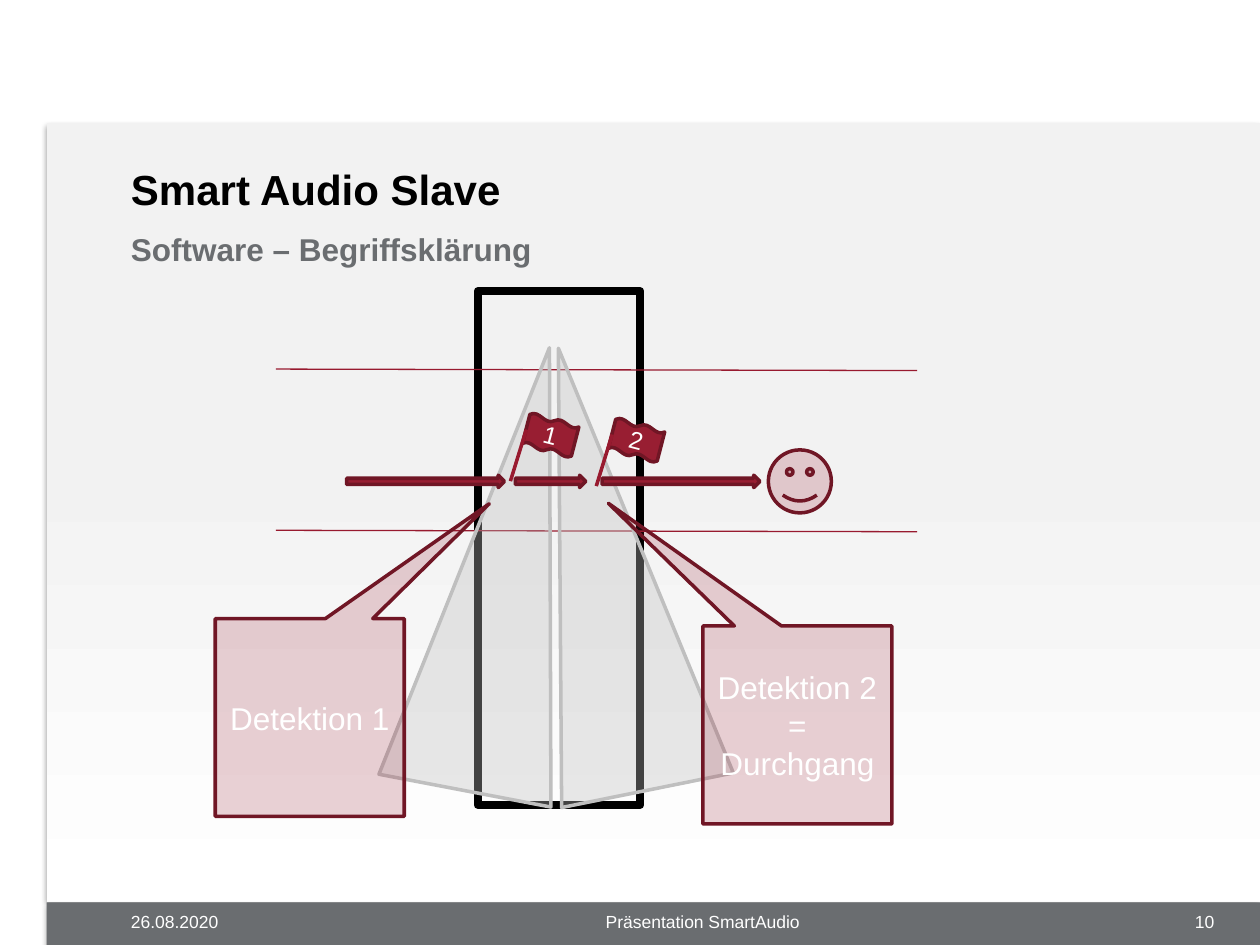
import pptx
import pptx.dml.color
import pptx.enum.dml
import pptx.enum.shapes
import pptx.enum.text
import pptx.oxml.ns
import pptx.util
from lxml import etree

Cm = pptx.util.Cm
Pt = pptx.util.Pt
SHAPE = pptx.enum.shapes.MSO_SHAPE
ALIGN = pptx.enum.text.PP_ALIGN
ANCHOR = pptx.enum.text.MSO_ANCHOR
qn = pptx.oxml.ns.qn

FONT = "Arial"
COLORS = {
    "black": "000000",
    "white": "FFFFFF",
    "panel": "F2F2F2",
    "slate": "6A6D70",
    "beam": "BFBFBF",
    "red": "981E32",
    "dark red": "701625",
    "line red": "981A2F",
}


def rgb(name):
    return pptx.dml.color.RGBColor.from_string(COLORS[name])


def write_text(shape, text, size, color, align=ALIGN.LEFT, bold=False, anchor=ANCHOR.TOP, side_inset=0.25):
    frame = shape.text_frame
    frame.text = text
    frame.word_wrap = True
    frame.auto_size = pptx.enum.text.MSO_AUTO_SIZE.NONE
    frame.vertical_anchor = anchor
    frame.margin_left = frame.margin_right = Cm(side_inset)
    frame.margin_top = frame.margin_bottom = Cm(0.13)
    paragraph = frame.paragraphs[0]
    paragraph.alignment = align
    for run in paragraph.runs:
        run.font.name = FONT
        run.font.size = Pt(size)
        run.font.bold = bold
        run.font.color.rgb = rgb(color)
    return paragraph


def add_text(slide, box, text, size, color, **options):
    shape = slide.shapes.add_textbox(*map(Cm, box))
    return write_text(shape, text, size, color, **options)


def add_shape(shapes, kind, box, fill=None, line=None, width=2, opacity=100, rotation=0):
    shape = shapes.add_shape(kind, *map(Cm, box))
    shape.shadow.inherit = False
    shape.rotation = rotation
    if fill:
        shape.fill.solid()
        shape.fill.fore_color.rgb = rgb(fill)
        if opacity < 100:
            color = shape.fill._xPr.find(".//" + qn("a:srgbClr"))
            etree.SubElement(color, qn("a:alpha"), val=str(opacity * 1000))
    else:
        shape.fill.background()
    if line:
        shape.line.color.rgb = rgb(line)
        shape.line.width = Pt(width)
    else:
        shape.line.fill.background()
    return shape


def add_line(shapes, start, end, width):
    line = shapes.add_connector(pptx.enum.shapes.MSO_CONNECTOR.STRAIGHT, *map(Cm, start + end))
    line.line.color.rgb = rgb("line red")
    line.line.width = Pt(width)
    etree.SubElement(line._element.spPr, qn("a:effectLst"))


def add_soft_shadow(shape):
    effects = shape._element.spPr.find(qn("a:effectLst"))
    shadow = etree.SubElement(effects, qn("a:outerShdw"), blurRad=str(Pt(3.1)),
                              dist=str(Pt(1.8)), dir="5400000", rotWithShape="0")
    color = etree.SubElement(shadow, qn("a:srgbClr"), val=COLORS["black"])
    etree.SubElement(color, qn("a:alpha"), val="35000")


def add_background(slide):
    panel = add_shape(slide.shapes, SHAPE.RECTANGLE, (0.94, 2.49, 24.46, 15.7))
    panel.fill.gradient()
    panel.fill.gradient_angle = 270
    for stop, position, color in zip(panel.fill.gradient_stops, (0.43, 1), ("panel", "white")):
        stop.position = position
        stop.color.rgb = rgb(color)
    bar = add_shape(slide.shapes, SHAPE.RECTANGLE, (0.94, 18.19, 24.46, 1.02), "slate")
    for shape in (panel, bar):
        add_soft_shadow(shape)


def add_footer(slide):
    for left, width, text, align, inset in (
        (2.64, 2.92, "26.08.2020", ALIGN.LEFT, 0),
        (6.2, 15.93, "Präsentation SmartAudio", ALIGN.CENTER, 0.25),
        (22.78, 1.7, "10", ALIGN.RIGHT, 0),
    ):
        add_text(slide, (left, 18.24, width, 0.53), text, 10, "white", align=align, side_inset=inset)


def add_headings(slide):
    add_text(slide, (2.64, 4.45, 21.84, 1.07), "Software – Begriffsklärung", 18, "slate",
             bold=True, anchor=ANCHOR.BOTTOM, side_inset=0).space_after = Pt(8)
    title = slide.shapes.title
    title.left, title.top, title.width, title.height = map(Cm, (2.64, 3.2, 21.84, 1.24))
    paragraph = write_text(title, "Smart Audio Slave", 24, "black", bold=True,
                           anchor=ANCHOR.BOTTOM, side_inset=0)
    paragraph.line_spacing = 0.8
    # Bring the title in front of the panel
    slide.shapes._spTree.append(title._element)


def add_callout(slide, left, top, text, tip):
    callout = add_shape(slide.shapes, SHAPE.RECTANGULAR_CALLOUT, (left, top, 3.81, 3.99),
                        "red", "dark red", opacity=20)
    callout.adjustments[0], callout.adjustments[1] = tip
    write_text(callout, text, 18, "white", align=ALIGN.CENTER, anchor=ANCHOR.MIDDLE)


def add_flag(slide, left, top, label):
    group = slide.shapes.add_group_shape()
    cloth = add_shape(group.shapes, SHAPE.DOUBLE_WAVE, (left, top, 1.02, 0.69),
                      "red", "dark red", rotation=14.5)
    write_text(cloth, label, 14, "white", align=ALIGN.CENTER, anchor=ANCHOR.MIDDLE)
    add_line(group.shapes, (left + 0.02, top + 0.23), (left - 0.3, top + 1.27), 2)


def add_diagram(slide):
    # Door frame and walls of the passage
    add_shape(slide.shapes, SHAPE.RECTANGLE, (9.63, 5.87, 3.28, 10.36), line="black", width=4.5)
    for top in (10.69, 7.44):
        add_line(slide.shapes, (5.56, top), (18.49, top + 0.03), 0.75)
    # Sensor beams
    for left, rotation in ((8.46, 10.8), (10.39, -11.4)):
        add_shape(slide.shapes, SHAPE.ISOSCELES_TRIANGLE, (left, 6.93, 3.53, 9.09),
                  "beam", "beam", opacity=35, rotation=rotation)
    # Path of the person
    for left, width in ((6.99, 3.18), (10.39, 1.42), (12.14, 3.18)):
        add_shape(slide.shapes, SHAPE.RIGHT_ARROW, (left, 9.58, width, 0.25), "red", "dark red")
    add_callout(slide, 4.34, 12.47, "Detektion 1", (0.95, -1.08))
    add_callout(slide, 14.17, 12.62, "Detektion 2 = Durchgang", (-1, -1.12))
    add_shape(slide.shapes, SHAPE.SMILEY_FACE, (15.49, 9.07, 1.27, 1.27),
              "red", "dark red", opacity=20)
    # Detection points
    add_flag(slide, 10.59, 8.43, "1")
    add_flag(slide, 12.32, 8.53, "2")


def main():
    presentation = pptx.Presentation()
    presentation.slide_width, presentation.slide_height = Cm(25.4), Cm(19.05)
    slide = presentation.slides.add_slide(presentation.slide_layouts[5])
    add_background(slide)
    add_footer(slide)
    add_headings(slide)
    add_diagram(slide)
    presentation.save("out.pptx")


if __name__ == "__main__":
    main()
